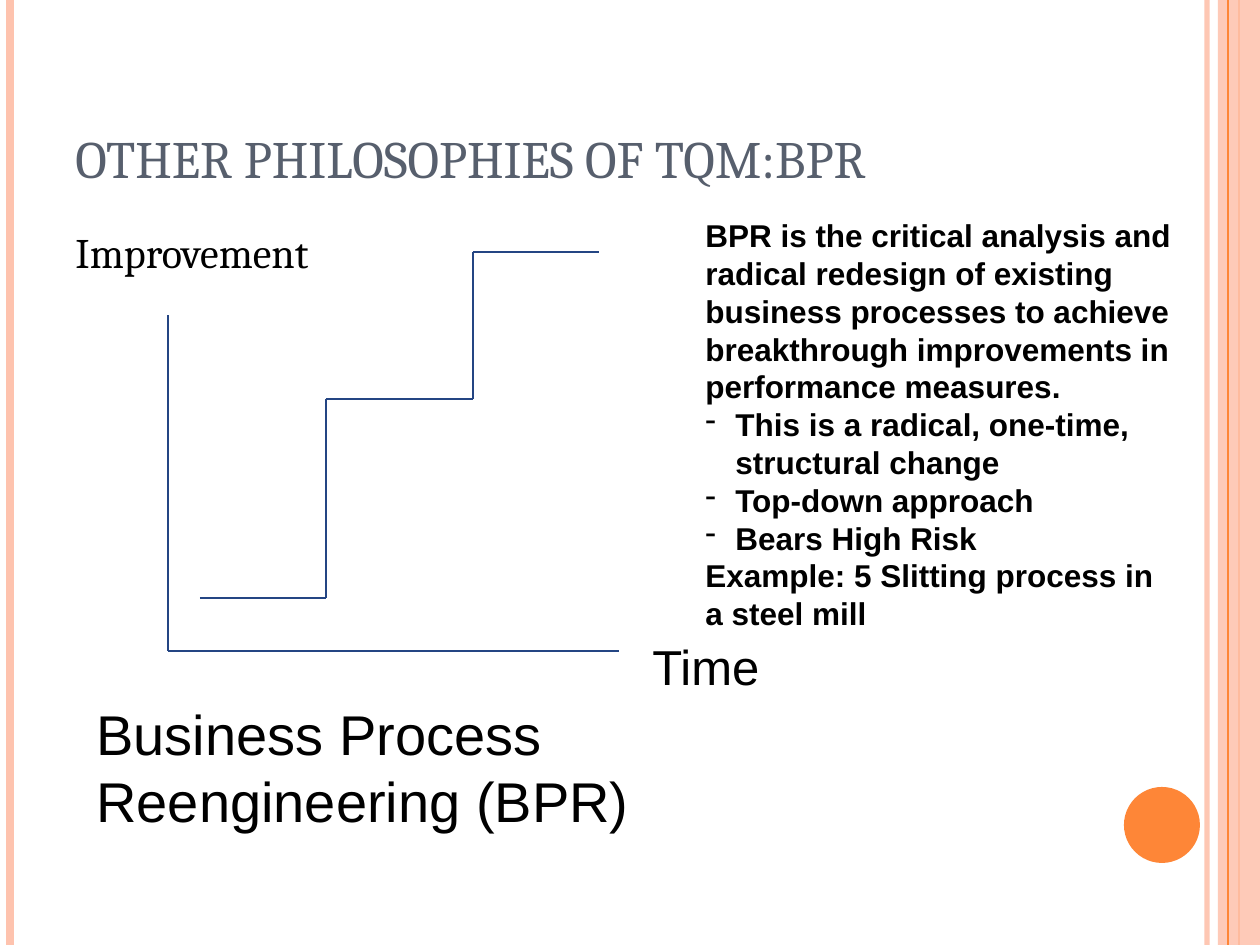
from dataclasses import dataclass
from itertools import pairwise

from lxml import etree
from pptx import Presentation
from pptx.dml.color import RGBColor
from pptx.enum.shapes import MSO_CONNECTOR, MSO_SHAPE
from pptx.enum.text import MSO_ANCHOR
from pptx.oxml.ns import qn
from pptx.util import Emu, Pt

STRAIGHT = MSO_CONNECTOR.STRAIGHT
RECTANGLE, OVAL = MSO_SHAPE.RECTANGLE, MSO_SHAPE.OVAL
TOP, BOTTOM = MSO_ANCHOR.TOP, MSO_ANCHOR.BOTTOM

PX_PER_INCH = 126
PAGE_WIDTH, PAGE_HEIGHT = 1260, 945


@dataclass(frozen=True)
class Theme:
    accent: str = "FE8637"
    peach: str = "FEC3AE"
    slate: str = "575F6D"
    navy: str = "244583"
    ink: str = "000000"
    serif: str = "Cambria"
    sans: str = "Arial"
    title_size: int = 30
    axis_size: int = 24
    time_size: int = 28
    caption_size: int = 32
    body_size: int = 18


THEME = Theme()


def px(length):
    return Emu(round(length * 914400 / PX_PER_INCH))


def set_alpha(properties, percent):
    """Make the one solid colour inside these properties translucent."""
    color = next(properties.iter(qn("a:srgbClr")))
    etree.SubElement(color, qn("a:alpha"), val=str(percent * 1000))


def add_line(page, start, end, color, width, alpha=100):
    line = page.shapes.add_connector(
        STRAIGHT, px(start[0]), px(start[1]), px(end[0]), px(end[1]))
    line.line.color.rgb = RGBColor.from_string(color)
    line.line.width = Pt(width)
    properties = line._element.spPr
    if alpha < 100:
        set_alpha(properties, alpha)
    etree.SubElement(properties, qn("a:effectLst"))


def add_path(page, points):
    for start, end in pairwise(points):
        add_line(page, start, end, THEME.navy, 1.5)


def add_solid(page, kind, at, color, alpha=100):
    shape = page.shapes.add_shape(kind, *map(px, at))
    shape.shadow.inherit = False
    shape.fill.solid()
    shape.fill.fore_color.rgb = RGBColor.from_string(color)
    shape.line.fill.background()
    if alpha < 100:
        set_alpha(shape._element.spPr, alpha)


def add_dash(para, indent=30):
    properties = para._p.get_or_add_pPr()
    properties.set("marL", str(px(indent)))
    properties.set("indent", str(-px(indent)))
    bullet_color = etree.SubElement(properties, qn("a:buClr"))
    etree.SubElement(bullet_color, qn("a:srgbClr"), val=THEME.ink)
    etree.SubElement(properties, qn("a:buChar"), char="-")


def add_text(page, at, paragraphs, font, size, color=THEME.ink,
             bold=False, anchor=TOP, dashed=()):
    frame = page.shapes.add_textbox(*map(px, at)).text_frame
    frame.word_wrap = True
    frame.vertical_anchor = anchor
    frame.text = "\n".join(paragraphs)
    for number, para in enumerate(frame.paragraphs):
        if number in dashed:
            add_dash(para)
        para.font.name = font
        para.font.size = Pt(size)
        para.font.bold = bold
        para.font.color.rgb = RGBColor.from_string(color)


def add_decoration(page):
    def add_stripe(x, color, width, alpha=100):
        add_line(page, (x, 0), (x, PAGE_HEIGHT), color, width, alpha)

    add_stripe(1207, THEME.peach, 3, 93)
    add_stripe(10, THEME.peach, 4.5)
    add_stripe(1239, THEME.accent, 1.5)
    add_solid(page, RECTANGLE, (1218, 0, 42, PAGE_HEIGHT), THEME.peach, 87)
    add_stripe(1228, THEME.accent, 0.75)
    add_solid(page, OVAL, (1124, 787, 76, 76), THEME.accent)


def add_step_diagram(page):
    # Axes, then the staircase of improvement
    add_path(page, [(619, 651), (168, 651), (168, 315)])
    add_path(page, [(200, 598), (326, 598), (326, 399),
                    (473, 399), (473, 252), (599, 252)])
    add_text(page, (63, 220, 400, 70), ["Improvement"],
             THEME.serif, THEME.axis_size)
    add_text(page, (640, 630, 305, 72), ["Time"],
             THEME.sans, THEME.time_size)
    add_text(page, (84, 693, 578, 147),
             ["Business Process Reengineering (BPR)"],
             THEME.sans, THEME.caption_size)


def main():
    deck = Presentation()
    deck.slide_width, deck.slide_height = px(PAGE_WIDTH), px(PAGE_HEIGHT)
    page = deck.slides.add_slide(deck.slide_layouts[6])

    add_decoration(page)
    add_text(page, (63, 38, 1029, 157), ["OTHER PHILOSOPHIES OF TQM:BPR"],
             THEME.serif, THEME.title_size, THEME.slate, anchor=BOTTOM)
    add_step_diagram(page)

    # Explanation beside the diagram
    add_text(page, (693, 210, 494, 428), [
        "BPR is the critical analysis and radical redesign of existing "
        "business processes to achieve breakthrough improvements in "
        "performance measures.",
        "This is a radical, one-time, structural change",
        "Top-down approach",
        "Bears High Risk",
        "Example: 5 Slitting process in a steel mill",
    ], THEME.sans, THEME.body_size, bold=True, dashed=(1, 2, 3))

    deck.save("out.pptx")


if __name__ == "__main__":
    main()
